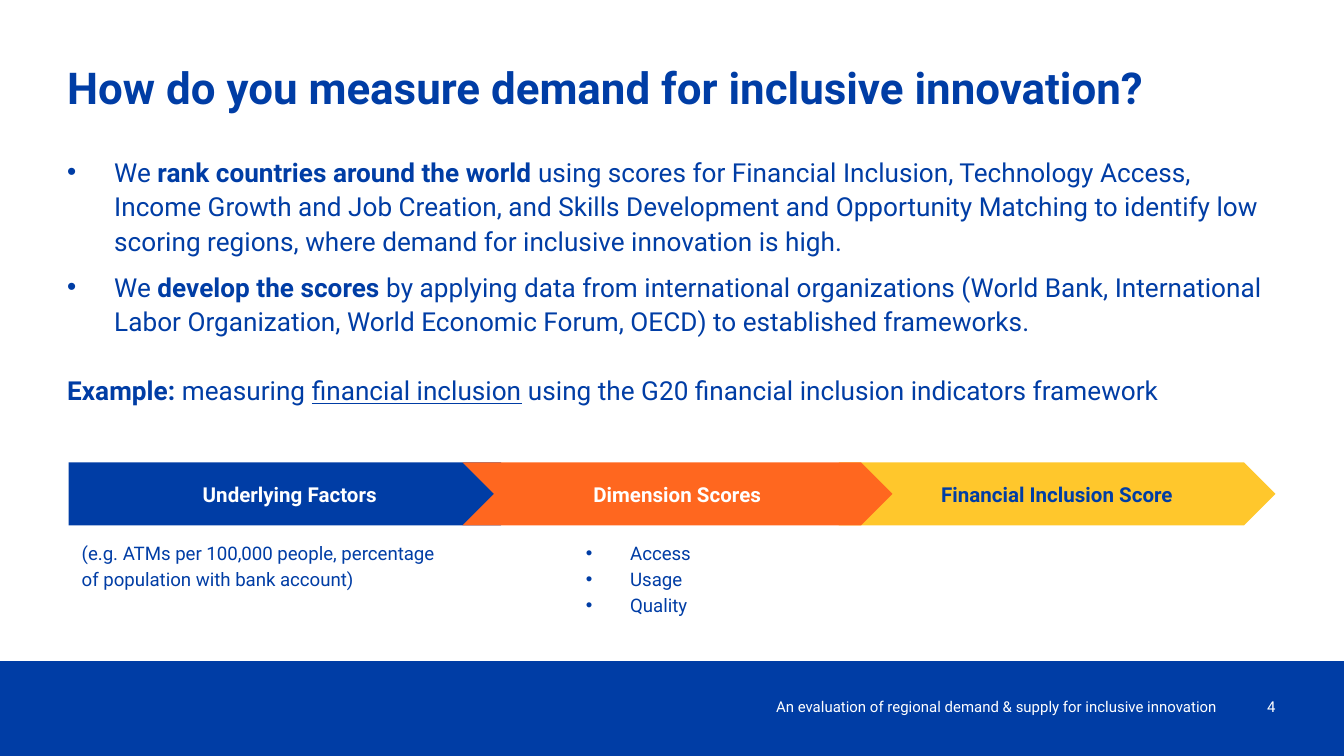
from lxml.etree import SubElement
from pptx import Presentation
from pptx.dml.color import RGBColor
from pptx.enum.shapes import MSO_SHAPE
from pptx.enum.text import MSO_ANCHOR, PP_ALIGN
from pptx.oxml.ns import qn
from pptx.util import Inches, Pt

BLUE, ORANGE, YELLOW, WHITE = "003DA5", "FF671F", "FFC72C", "FFFFFF"
SLIDE_WIDTH = 10
SLIDE_HEIGHT = SLIDE_WIDTH * 9 / 16
FOOTER_TOP = 4.92


def color(value):
    return RGBColor.from_string(value)


class SlideBuilder:
    font_name = "Roboto"
    bullet_font = "Arial"

    def __init__(self, slide):
        self.slide = slide

    def style(self, font, size, ink, bold=False):
        font.name = self.font_name
        font.size = Pt(size)
        font.bold = bold
        font.color.rgb = color(ink)

    def shape(self, kind, box, fill):
        shape = self.slide.shapes.add_shape(kind, *map(Inches, box))
        shape.shadow.inherit = False
        shape.fill.solid()
        shape.fill.fore_color.rgb = color(fill)
        shape.line.fill.background()
        return shape

    def arrow(self, kind, left, width, fill, label, ink):
        shape = self.shape(kind, (left, 3.44, width, 0.47), fill)
        shape.adjustments[0] = 0.5
        text_frame = shape.text_frame
        self.frame(text_frame, (0.1, 0.1, 0.1, 0.1), MSO_ANCHOR.MIDDLE)
        text_frame.text = label
        paragraph = text_frame.paragraphs[0]
        paragraph.alignment = PP_ALIGN.CENTER
        self.style(paragraph.runs[0].font, 11, ink, True)

    def frame(self, text_frame, margins, anchor):
        text_frame.word_wrap = True
        text_frame.vertical_anchor = anchor
        (text_frame.margin_left, text_frame.margin_top,
         text_frame.margin_right, text_frame.margin_bottom) = map(Inches, margins)

    def text(self, box, lines, size, ink=BLUE, margins=(0, 0.05, 0, 0.05), bold=False,
             anchor=MSO_ANCHOR.TOP, alignment=PP_ALIGN.LEFT, spacing=1.0):
        text_frame = self.slide.shapes.add_textbox(*map(Inches, box)).text_frame
        self.frame(text_frame, margins, anchor)
        text_frame.text = "\n".join(lines)
        for paragraph in text_frame.paragraphs:
            paragraph.alignment = alignment
            paragraph.line_spacing = spacing
            for run in paragraph.runs:
                self.style(run.font, size, ink, bold)
        return text_frame.paragraphs

    def bullet(self, paragraph, indent, hanging):
        properties = paragraph._p.get_or_add_pPr()
        properties.set("marL", str(Inches(indent)))
        properties.set("indent", str(-Inches(hanging)))
        bullet_color = SubElement(properties, qn("a:buClr"))
        SubElement(bullet_color, qn("a:srgbClr")).set("val", BLUE)
        SubElement(properties, qn("a:buFont")).set("typeface", self.bullet_font)
        SubElement(properties, qn("a:buChar")).set("char", "•")

    def emphasize(self, paragraph, phrase, size, bold=False, underline=False):
        source = paragraph.runs[-1]
        before, after = source.text.split(phrase, 1)
        if before:
            source.text = before
        else:
            paragraph._p.remove(source._r)
        for text, marked in ((phrase, True), (after, False)):
            run = paragraph.add_run()
            run.text = text
            self.style(run.font, size, BLUE, bold and marked)
            run.font.underline = underline and marked


def main():
    presentation = Presentation()
    presentation.slide_width = Inches(SLIDE_WIDTH)
    presentation.slide_height = Inches(SLIDE_HEIGHT)
    builder = SlideBuilder(presentation.slides.add_slide(presentation.slide_layouts[6]))

    builder.shape(MSO_SHAPE.RECTANGLE,
                  (0, FOOTER_TOP, SLIDE_WIDTH, SLIDE_HEIGHT - FOOTER_TOP), BLUE)
    builder.text((0.5, 0.4, 8.99, 1.09),
                 ["How do you measure demand for inclusive innovation?"], 23.5, bold=True)

    ranking, scoring, example = builder.text((0.5, 1.09, 8.99, 2.54), [
        "We rank countries around the world using scores for Financial Inclusion, "
        "Technology Access, Income Growth and Job Creation, and Skills Development and "
        "Opportunity Matching to identify low scoring regions, where demand for "
        "inclusive innovation is high.",
        "We develop the scores by applying data from international organizations "
        "(World Bank, International Labor Organization, World Economic Forum, OECD) "
        "to established frameworks.",
        "Example: measuring financial inclusion using the G20 financial inclusion "
        "indicators framework",
    ], 14, spacing=1.1)
    for paragraph in (ranking, scoring):
        builder.bullet(paragraph, 0.35, 0.35)
    ranking.space_after = Pt(6)
    example.space_before = Pt(18.5)
    builder.emphasize(ranking, "rank countries around the world", 14, bold=True)
    builder.emphasize(scoring, "develop the scores", 14, bold=True)
    builder.emphasize(example, "Example: ", 14, bold=True)
    builder.emphasize(example, "financial inclusion", 14, underline=True)

    for kind, left, width, fill, label, ink in (
        (MSO_SHAPE.CHEVRON, 6.24, 3.25, YELLOW, "Financial Inclusion Score", BLUE),
        (MSO_SHAPE.PENTAGON, 0.51, 3.45, BLUE, "Underlying Factors ", WHITE),
        (MSO_SHAPE.CHEVRON, 3.44, 3.2, ORANGE, "Dimension Scores", WHITE),
    ):
        builder.arrow(kind, left, width, fill, label, ink)

    detail = {"size": 10, "margins": (0.1, 0.1, 0.1, 0.1), "spacing": 1.15}
    builder.text((0.51, 3.91, 2.93, 0.66),
                 ["(e.g. ATMs per 100,000 people, percentage of population with bank account)"],
                 **detail)
    for paragraph in builder.text((4.09, 3.91, 2.45, 0.6),
                                  ["Access", "Usage", "Quality"], **detail):
        builder.bullet(paragraph, 0.5, 0.33)

    for left, width, label in (
        (9.06, 0.43, "4"),
        (3.42, 5.64, "An evaluation of regional demand & supply for inclusive innovation"),
    ):
        builder.text((left, 5.11, width, 0.3), [label], 8, WHITE, (0.1, 0.05, 0, 0.05),
                     anchor=MSO_ANCHOR.MIDDLE, alignment=PP_ALIGN.RIGHT)

    presentation.save("out.pptx")


if __name__ == "__main__":
    main()
